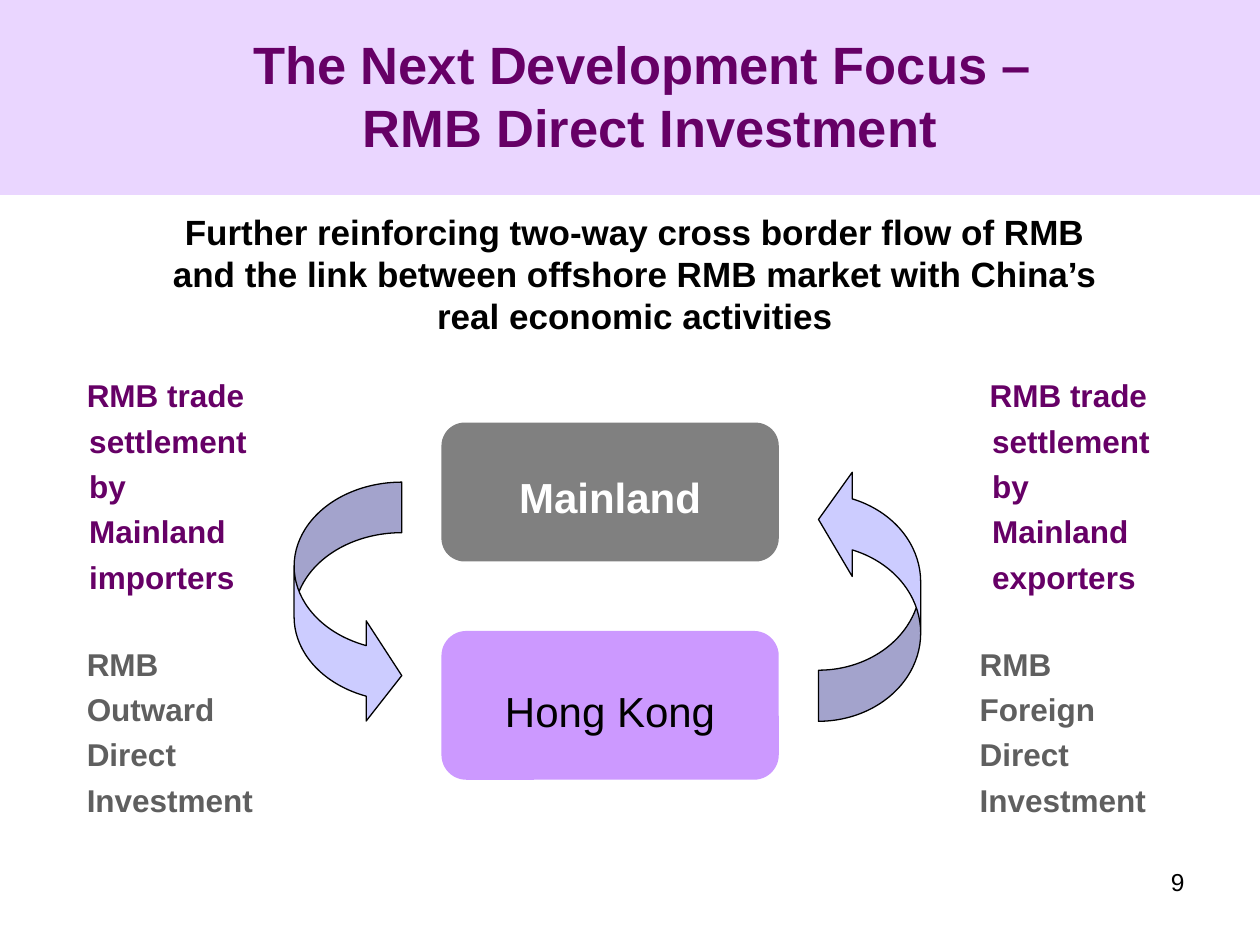
from dataclasses import dataclass

from lxml.etree import SubElement
from pptx import Presentation
from pptx.dml.color import RGBColor
from pptx.enum.shapes import MSO_SHAPE
from pptx.enum.text import MSO_ANCHOR, PP_ALIGN
from pptx.oxml.ns import qn
from pptx.util import Cm, Pt


@dataclass(frozen=True)
class Theme:
    font: str = "Arial"
    purple: str = "660066"
    lilac: str = "CC99FF"
    lavender: str = "CCCCFF"
    gray: str = "808080"
    dark_gray: str = "5F5F5F"
    black: str = "000000"
    white: str = "FFFFFF"
    title_size: int = 30
    box_size: int = 24
    lead_size: int = 20
    label_size: int = 18
    number_size: int = 14


class SlideBuilder:
    def __init__(self, slide, theme):
        self.slide = slide
        self.theme = theme

    def fill_text(self, shape, text, size, color, bold=True, wrap=True,
                  anchor=MSO_ANCHOR.TOP, hanging=0, **paragraph_format):
        frame = shape.text_frame
        frame.word_wrap = wrap
        frame.vertical_anchor = anchor
        paragraph = frame.paragraphs[0]
        paragraph.text = text
        for name, value in paragraph_format.items():
            setattr(paragraph, name, value)
        if hanging:
            properties = paragraph._p.get_or_add_pPr()
            properties.set("marL", str(Cm(hanging)))
            properties.set("indent", str(-Cm(hanging)))
        font_format = {"name": self.theme.font, "size": Pt(size), "bold": bold}
        for run in paragraph.runs:
            for name, value in font_format.items():
                setattr(run.font, name, value)
            run.font.color.rgb = RGBColor.from_string(color)

    def text(self, place, text, size, color, **options):
        shape = self.slide.shapes.add_textbox(*map(Cm, place))
        self.fill_text(shape, text, size, color, **options)

    def shape(self, kind, place, fill, line=None, opacity=None):
        shape = self.slide.shapes.add_shape(kind, *map(Cm, place))
        shape.shadow.inherit = False
        shape.fill.solid()
        shape.fill.fore_color.rgb = RGBColor.from_string(fill)
        if opacity is not None:
            color = shape._element.spPr.find(qn("a:solidFill"))[0]
            SubElement(color, qn("a:alpha")).set("val", str(opacity * 1000))
        if line:
            shape.line.color.rgb = RGBColor.from_string(line)
            shape.line.width = Pt(0.75)
        else:
            shape.line.fill.background()
        return shape

    def box(self, place, text, fill, color, bold):
        shape = self.shape(MSO_SHAPE.ROUNDED_RECTANGLE, place, fill)
        self.fill_text(shape, text, self.theme.box_size, color, bold=bold,
                       wrap=False, anchor=MSO_ANCHOR.MIDDLE,
                       alignment=PP_ALIGN.CENTER, line_spacing=1.2,
                       space_before=Pt(30))

    def flow_arrow(self, place, adjustments, rotation=0):
        shape = self.shape(MSO_SHAPE.CURVED_RIGHT_ARROW, place,
                           self.theme.lavender, line=self.theme.black)
        for index, value in enumerate(adjustments):
            shape.adjustments[index] = value
        shape.rotation = rotation

    def label(self, place, text, color, hanging=0):
        self.text(place, text, self.theme.label_size, color, hanging=hanging,
                  alignment=PP_ALIGN.LEFT, line_spacing=1.2,
                  space_before=Pt(11.2))


def main():
    presentation = Presentation()
    presentation.slide_width = Cm(25.4)
    presentation.slide_height = Cm(19.05)
    theme = Theme()
    slide = presentation.slides.add_slide(presentation.slide_layouts[6])
    builder = SlideBuilder(slide, theme)

    # Title band, lead sentence and title
    builder.shape(MSO_SHAPE.RECTANGLE, (0, 0, 25.4, 3.93), theme.lilac, opacity=40)
    builder.text((3.1, 4.11, 19.4, 2.8),
                 "Further reinforcing two-way cross border flow of RMB and the link "
                 "between offshore RMB market with China’s real economic activities",
                 theme.lead_size, theme.black, alignment=PP_ALIGN.CENTER,
                 line_spacing=1.0, space_before=Pt(17.5))
    builder.text((1.7, 0.33, 22.8, 3.18),
                 "The Next Development Focus – \vRMB Direct Investment",
                 theme.title_size, theme.purple, anchor=MSO_ANCHOR.MIDDLE,
                 alignment=PP_ALIGN.CENTER)

    # The two markets
    builder.box((8.9, 8.52, 6.8, 2.8), "Mainland", theme.gray, theme.white, True)
    builder.box((8.9, 12.72, 6.8, 3.0), "Hong Kong", theme.lilac, theme.black, False)

    # Flows out of and into the Mainland
    builder.flow_arrow((5.93, 9.72, 2.17, 4.91), (0.47, 0.93, 0.33))
    builder.flow_arrow((16.5, 9.42, 2.06, 5.12), (0.5, 1.02, 0.33), rotation=180)

    # Trade and investment labels on each side
    sides = (
        (1.5, 1.5, "importers", "Outward"),
        (19.7, 19.5, "exporters", "Foreign"),
    )
    for trade_left, investment_left, traders, direction in sides:
        builder.label((trade_left, 7.31, 4.0, 4.6),
                      f"RMB trade settlement by Mainland {traders}",
                      theme.purple, hanging=0.05)
        builder.label((investment_left, 12.72, 4.2, 3.91),
                      f"RMB {direction} Direct Investment", theme.dark_gray)

    # Page number
    builder.text((18.2, 17.35, 5.93, 1.32), "9", theme.number_size, theme.black,
                 bold=False, alignment=PP_ALIGN.RIGHT)

    presentation.save("out.pptx")


if __name__ == "__main__":
    main()
